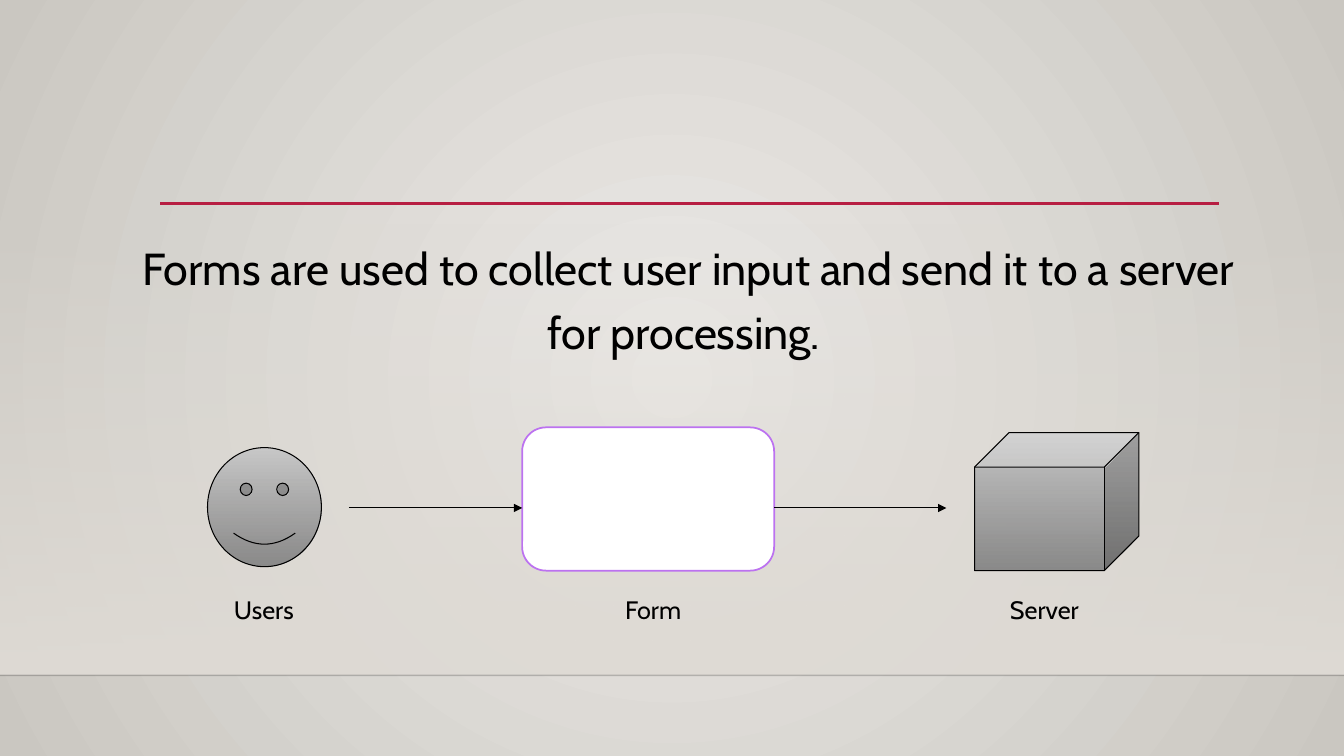
from lxml.etree import SubElement
from pptx import Presentation
from pptx.dml.color import RGBColor
from pptx.enum.shapes import MSO_CONNECTOR as Link, MSO_SHAPE as Shape
from pptx.enum.text import MSO_AUTO_SIZE as AutoSize, PP_ALIGN as Align
from pptx.oxml import parse_xml
from pptx.oxml.ns import nsdecls, qn
from pptx.util import Cm, Pt

BLACK = RGBColor(0x00, 0x00, 0x00)
WHITE = RGBColor(0xFF, 0xFF, 0xFF)
CRIMSON = RGBColor(0xB7, 0x1E, 0x42)
PURPLE = RGBColor(0xBC, 0x72, 0xF0)
SAND = RGBColor(0xDF, 0xDB, 0xD5)
SAND_LIGHT = RGBColor(0xEC, 0xEA, 0xE7)
SAND_DARK = RGBColor(0xCA, 0xC7, 0xC1)
GREY_LIGHT = RGBColor(0xC8, 0xC8, 0xC8)
GREY_DARK = RGBColor(0x84, 0x84, 0x84)

FONT = "Cabin"
WIDTH, HEIGHT = 33.87, 19.05
ARROW_Y = 12.8


def set_gradient(fill, *stops):
    """Fill from top to bottom with (colour, opacity in percent) stops."""
    fill.gradient()
    fill.gradient_angle = 270
    for stop, (colour, opacity) in zip(fill.gradient_stops, stops):
        stop.color.rgb = colour
    for element, (colour, opacity) in zip(fill._xPr.iter(qn("a:srgbClr")), stops):
        if opacity < 100:
            SubElement(element, qn("a:alpha"), val=str(opacity * 1000))


def add_line(start, end, y, colour, width):
    line = page.shapes.add_connector(Link.STRAIGHT, Cm(start), Cm(y), Cm(end), Cm(y))
    line.line.color.rgb = colour
    line.line.width = Pt(width)
    SubElement(line._element.spPr, qn("a:effectLst"))
    return line


deck = Presentation()
deck.slide_width, deck.slide_height = Cm(WIDTH), Cm(HEIGHT)
page = deck.slides.add_slide(deck.slide_layouts[6])

# Background glowing from the centre
backdrop = page.background.fill
set_gradient(backdrop, (SAND_LIGHT, 100), (SAND_DARK, 100))
direction = next(backdrop._xPr.iter(qn("a:lin")))
direction.getparent().replace(direction, parse_xml(
    f'<a:path {nsdecls("a")} path="circle">'
    '<a:fillToRect l="50000" t="50000" r="50000" b="50000"/></a:path>'))

# Wall fading in above the floor line
wall = page.shapes.add_shape(Shape.RECTANGLE, 0, Cm(5.61), Cm(WIDTH), Cm(11.4))
wall.shadow.inherit = False
wall.line.fill.background()
set_gradient(wall.fill, (SAND, 0), (SAND, 100))
floor = add_line(0, WIDTH, 17.02, BLACK, 1)
SubElement(next(floor._element.iter(qn("a:srgbClr"))), qn("a:alpha"), val="20000")

# Title rule
add_line(4.04, 30.73, 5.13, CRIMSON, 2.5)

# Statement
statement = page.shapes.add_textbox(Cm(2.92), Cm(5.66), Cm(28.88), Cm(10.24))
statement.text_frame.word_wrap = True
para = statement.text_frame.paragraphs[0]
para.text = "Forms are used to collect user input and send it to a server for processing. "
para.alignment = Align.CENTER
para.line_spacing = 1.2
para.space_before = Pt(10)
para.font.name, para.font.size, para.font.color.rgb = FONT, Pt(32), BLACK

# Users, form and server: preset, left, top, width, height, outline, line width
stations = [
    (Shape.ROUNDED_RECTANGLE, 13.16, 10.77, 6.35, 3.61, PURPLE, 1.25),
    (Shape.SMILEY_FACE, 5.23, 11.28, 2.87, 3.0, BLACK, 0.75),
    (Shape.CUBE, 24.56, 10.9, 4.14, 3.48, BLACK, 0.75),
]
for preset, left, top, width, height, outline, weight in stations:
    station = page.shapes.add_shape(preset, Cm(left), Cm(top), Cm(width), Cm(height))
    station.shadow.inherit = False
    station.line.color.rgb = outline
    station.line.width = Pt(weight)
    if preset == Shape.ROUNDED_RECTANGLE:
        station.fill.solid()
        station.fill.fore_color.rgb = WHITE
    else:
        set_gradient(station.fill, (GREY_LIGHT, 100), (GREY_DARK, 92))

# Arrows between the stations
for start, end in [(8.79, 13.16), (19.51, 23.85)]:
    arrow = add_line(start, end, ARROW_Y, BLACK, 0.75)
    SubElement(arrow.line._get_or_add_ln(), qn("a:tailEnd"), type="triangle")

# Labels below the stations, wide enough for the longest word
LABEL_WIDTH = 2.6
for name, centre in [("Users", 6.65), ("Form", 16.46), ("Server", 26.32)]:
    label = page.shapes.add_textbox(
        Cm(centre - LABEL_WIDTH / 2), Cm(14.86), Cm(LABEL_WIDTH), Cm(1.02))
    label.text_frame.word_wrap = False
    label.text_frame.auto_size = AutoSize.SHAPE_TO_FIT_TEXT
    para = label.text_frame.paragraphs[0]
    para.text = name
    para.alignment = Align.CENTER
    para.font.name, para.font.size, para.font.color.rgb = FONT, Pt(18), BLACK

deck.save("out.pptx")
